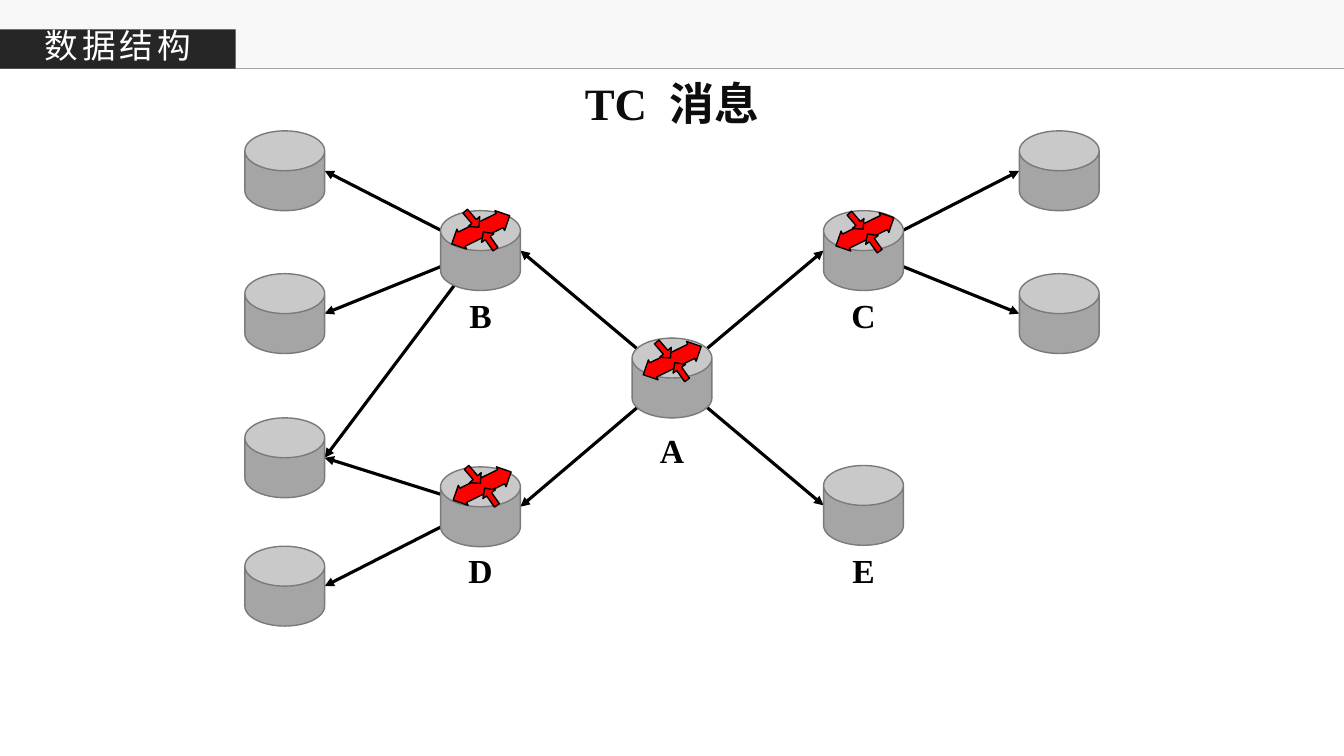
import pptx
import pptx.util
import pptx.dml.color
import pptx.enum.shapes
import pptx.enum.text
import pptx.oxml
import pptx.oxml.ns

Pt = pptx.util.Pt
SHAPE = pptx.enum.shapes.MSO_SHAPE
STRAIGHT = pptx.enum.shapes.MSO_CONNECTOR.STRAIGHT
DRAWING = pptx.oxml.ns.nsdecls("a")
COLORS = {
    "band": "F2F2F2", "rule": "A6A6A6", "tab": "262626", "white": "FFFFFF",
    "title": "0D0D0D", "black": "000000", "can": "A5A5A5", "can_edge": "7A7A7A",
    "red": "FF0000",
}
COLORS = {name: pptx.dml.color.RGBColor.from_string(value) for name, value in COLORS.items()}

deck = pptx.Presentation()
deck.slide_width, deck.slide_height = Pt(960), Pt(540)
page = deck.slides.add_slide(deck.slide_layouts[6])


def add_figure(kind, center, size, fill, edge=None, adjustments=(), rotation=0):
    left, top = center[0] - size[0] / 2, center[1] - size[1] / 2
    figure = page.shapes.add_shape(kind, Pt(left), Pt(top), Pt(size[0]), Pt(size[1]))
    figure.shadow.inherit = False
    figure.fill.solid()
    figure.fill.fore_color.rgb = COLORS[fill]
    if edge:
        figure.line.color.rgb = COLORS[edge]
        figure.line.width = Pt(1)
    else:
        figure.line.fill.background()
    for index, value in enumerate(adjustments):
        figure.adjustments[index] = value
    figure.rotation = rotation
    return figure


def add_line(start, end, color, width):
    line = page.shapes.add_connector(STRAIGHT, *[Pt(value) for value in (*start, *end)])
    line.line.color.rgb = COLORS[color]
    line.line.width = Pt(width)
    line._element.spPr.append(pptx.oxml.parse_xml(f"<a:effectLst {DRAWING}/>"))
    return line


band = add_figure(SHAPE.RECTANGLE, (480, 24.5), (960, 49), "band")
band_color = band._element.spPr.find(".//" + pptx.oxml.ns.qn("a:srgbClr"))
band_color.append(pptx.oxml.parse_xml(f'<a:alpha {DRAWING} val="50000"/>'))
add_line((0, 49), (960, 49), "rule", 0.5)
add_figure(SHAPE.RECTANGLE, (84.2, 35), (168.4, 28), "tab")

CAN = 57
WEST, EAST = 203.4, 756.6
routers = {"A": (480, 270), "B": (343.2, 179), "C": (616.8, 179), "D": (343.2, 362)}
nodes = {
    **routers, "E": (616.8, 361),
    "west1": (WEST, 122), "west2": (WEST, 224), "west3": (WEST, 327), "west4": (WEST, 418.7),
    "east1": (EAST, 122), "east2": (EAST, 224),
}
links = {
    "A": ["B", "C", "D", "E"],
    "B": ["west1", "west2", "west3"],
    "C": ["east1", "east2"],
    "D": ["west3", "west4"],
}
for source, targets in links.items():
    for target in targets:
        start, (x, y) = nodes[source], nodes[target]
        side = CAN / 2 if x < start[0] else -CAN / 2
        link = add_line(start, (x + side, y), "black", 2.25)
        link.line._get_or_add_ln().append(
            pptx.oxml.parse_xml(f'<a:tailEnd {DRAWING} type="triangle"/>'))

for center in nodes.values():
    add_figure(SHAPE.CAN, center, (CAN, CAN), "can", "can_edge", [0.5])

icon_offsets = {"A": (0.2, -12.4), "B": (0.2, -14.8), "C": (1, -13.4), "D": (1.2, -14.8)}
for name, (shift_x, shift_y) in icon_offsets.items():
    x, y = routers[name][0] + shift_x, routers[name][1] + shift_y
    add_figure(SHAPE.UP_DOWN_ARROW, (x, y), (15.8, 46), "red", "black", [0.36, 0.711], 64)
    for sign, rotation in ((-1, 49.4), (1, 234.8)):
        add_figure(SHAPE.RIGHT_ARROW, (x + sign * 6.2, y + sign * 7.6), (15.1, 10.8),
                   "red", "black", [0.395, 0.5], rotation)

serif, sans = "Times New Roman", "Noto Sans CJK SC"
texts = [
    (["数据结构"], (0, 14.4, 168.4, 36), 24, sans, "white", False, [300]),
    (["TC", " ", "消息"], (240, 50.4, 480, 46), 32, serif, "title", True, [0, 800, 0]),
]
label_tops = {"A": 303.8, "B": 207.4, "C": 207.4, "D": 389.5, "E": 389.5}
for name, top in label_tops.items():
    texts.append(([name], (nodes[name][0] - 24, top, 48, 36), 24, serif, "black", True, [0]))

for pieces, place, size, font, color, bold, spacings in texts:
    box = page.shapes.add_textbox(*[Pt(value) for value in place])
    box.text_frame.word_wrap = True
    box.text_frame.vertical_anchor = pptx.enum.text.MSO_ANCHOR.MIDDLE
    para = box.text_frame.paragraphs[0]
    para.alignment = pptx.enum.text.PP_ALIGN.CENTER
    for piece, spacing in zip(pieces, spacings):
        span = para.add_run()
        span.text = piece
        for key, value in {"size": Pt(size), "name": font, "bold": bold}.items():
            setattr(span.font, key, value)
        span.font.color.rgb = COLORS[color]
        properties = span._r.get_or_add_rPr()
        properties.set("spc", str(spacing))
        properties.append(pptx.oxml.parse_xml(f'<a:ea {DRAWING} typeface="{sans}"/>'))

deck.save("out.pptx")
